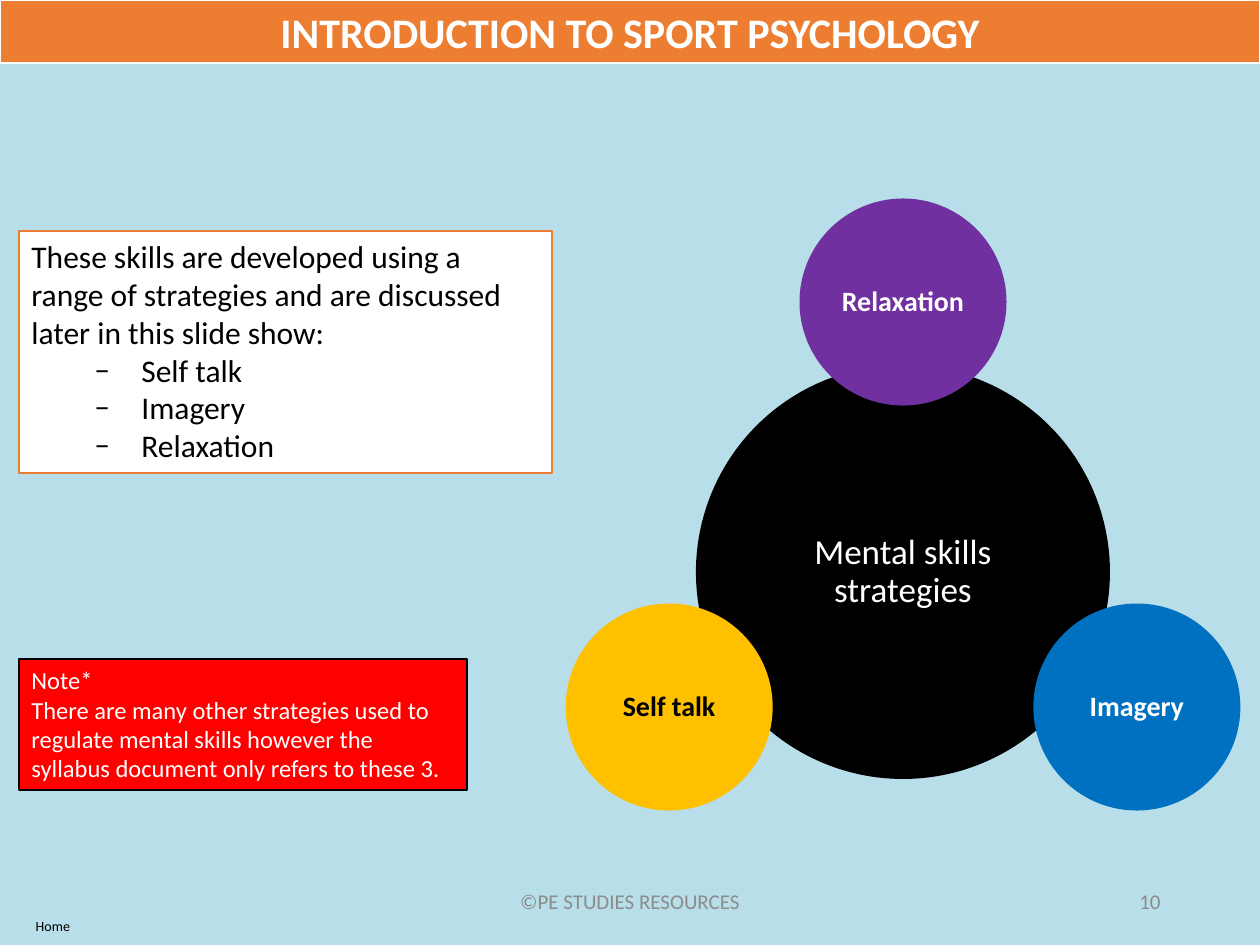
from math import cos, radians, sin

from lxml import etree
from pptx import Presentation
from pptx.dml.color import RGBColor
from pptx.enum.shapes import MSO_SHAPE
from pptx.enum.text import MSO_ANCHOR, MSO_AUTO_SIZE, PP_ALIGN
from pptx.oxml.ns import qn
from pptx.util import Emu, Pt

RECTANGLE, OVAL = MSO_SHAPE.RECTANGLE, MSO_SHAPE.OVAL
LEFT, CENTER, RIGHT = PP_ALIGN.LEFT, PP_ALIGN.CENTER, PP_ALIGN.RIGHT
TOP, MIDDLE = MSO_ANCHOR.TOP, MSO_ANCHOR.MIDDLE
GROW, FIXED = MSO_AUTO_SIZE.SHAPE_TO_FIT_TEXT, MSO_AUTO_SIZE.NONE
EMU_PER_PX = 914400 / 126
COLORS = {
    "background": "B7DEE9", "orange": "ED7D31", "white": "FFFFFF",
    "black": "000000", "gray": "8C8C8C", "red": "FF0000",
    "purple": "7030A0", "blue": "0070C0", "yellow": "FFC000",
}


def px(length):
    return Emu(round(length * EMU_PER_PX))


def rgb(name):
    return RGBColor.from_string(COLORS[name])


def write_text(paragraph, text, font="Calibri", size=18, color="black",
               bold=False, align=LEFT, spacing=None, bullet=None):
    if bullet:
        paragraph.level = 1
        properties = paragraph._p.get_or_add_pPr()
        properties.set("marL", str(px(110)))
        properties.set("indent", str(-px(47)))
        etree.SubElement(properties, qn("a:buFont")).set("typeface", font)
        etree.SubElement(properties, qn("a:buChar")).set("char", bullet)
    paragraph.alignment = align
    if spacing:
        paragraph.line_spacing = spacing
    run = paragraph.add_run()
    run.text = text
    run.font.name = font
    run.font.size = Pt(size)
    run.font.bold = bold
    run.font.color.rgb = rgb(color)


class SlideBuilder:
    def __init__(self, slide, font):
        self.slide = slide
        self.font = font

    def background(self, color):
        fill = self.slide.background.fill
        fill.solid()
        fill.fore_color.rgb = rgb(color)

    def fill_frame(self, shape, lines, anchor=TOP, auto_size=GROW, inset=None, **text_format):
        frame = shape.text_frame
        frame.word_wrap = True
        frame.auto_size = auto_size
        frame.vertical_anchor = anchor
        if inset is not None:
            frame.margin_left = frame.margin_right = px(inset)
            frame.margin_top = frame.margin_bottom = px(inset)
        for index, (text, bullet) in enumerate(lines):
            paragraph = frame.add_paragraph() if index else frame.paragraphs[0]
            write_text(paragraph, text, font=self.font, bullet=bullet, **text_format)

    def shape(self, kind, box, fill, line=None):
        shape = self.slide.shapes.add_shape(kind, *map(px, box))
        shape.shadow.inherit = False
        shape.fill.solid()
        shape.fill.fore_color.rgb = rgb(fill)
        if line:
            shape.line.color.rgb = rgb(line)
            shape.line.width = Pt(0.75)
        else:
            shape.line.fill.background()
        return shape

    def panel(self, box, fill, line, lines, **text_format):
        self.fill_frame(self.shape(RECTANGLE, box, fill, line), lines, **text_format)

    def circle(self, center_x, center_y, radius, fill, text, **text_format):
        box = (center_x - radius, center_y - radius, 2 * radius, 2 * radius)
        self.fill_frame(self.shape(OVAL, box, fill), [(text, None)], anchor=MIDDLE,
                        auto_size=FIXED, inset=3, align=CENTER, spacing=0.9, **text_format)

    def label(self, box, text, **text_format):
        text_box = self.slide.shapes.add_textbox(*map(px, box))
        self.fill_frame(text_box, [(text, None)], **text_format)


def main():
    presentation = Presentation()
    presentation.slide_width, presentation.slide_height = px(1260), px(945)
    slide = presentation.slides.add_slide(presentation.slide_layouts[6])
    builder = SlideBuilder(slide, "Calibri")
    builder.background("background")

    footer = {"size": 12, "color": "gray", "anchor": MIDDLE, "auto_size": FIXED}
    builder.label((417, 876, 426, 50), "©PE STUDIES RESOURCES", align=CENTER, **footer)
    builder.label((890, 876, 283, 50), "10", align=RIGHT, **footer)

    builder.panel((0, 0, 1260, 63), "orange", "white",
                  [("INTRODUCTION TO SPORT PSYCHOLOGY", None)],
                  size=24, color="white", bold=True, align=CENTER)
    introduction = ("These skills are developed using a range of strategies "
                    "and are discussed later in this slide show:")
    strategies = ["Self talk", "Imagery", "Relaxation"]
    builder.panel((19, 231, 533, 242), "white", "orange",
                  [(introduction, None)] + [(name, "–") for name in strategies])

    hub_x, hub_y, hub_radius, orbit = 903, 572, 207, 270
    builder.circle(hub_x, hub_y, hub_radius, "black", "Mental skills strategies",
                   size=20, color="white")
    satellites = [("Relaxation", "purple", "white"), ("Imagery", "blue", "white"),
                  ("Self talk", "yellow", "black")]
    for index, (name, fill, color) in enumerate(satellites):
        angle = radians(-90 + index * 360 / len(satellites))
        builder.circle(hub_x + orbit * cos(angle), hub_y + orbit * sin(angle),
                       hub_radius / 2, fill, name, size=16, color=color, bold=True)

    builder.label((-5, 911, 116, 30), "Home", size=8, align=CENTER)
    note = ("There are many other strategies used to regulate mental skills "
            "however the syllabus document only refers to these 3.")
    builder.panel((19, 659, 448, 131), "red", "black",
                  [("Note*", None), (note, None)], size=14, color="white")

    presentation.save("out.pptx")


if __name__ == "__main__":
    main()
